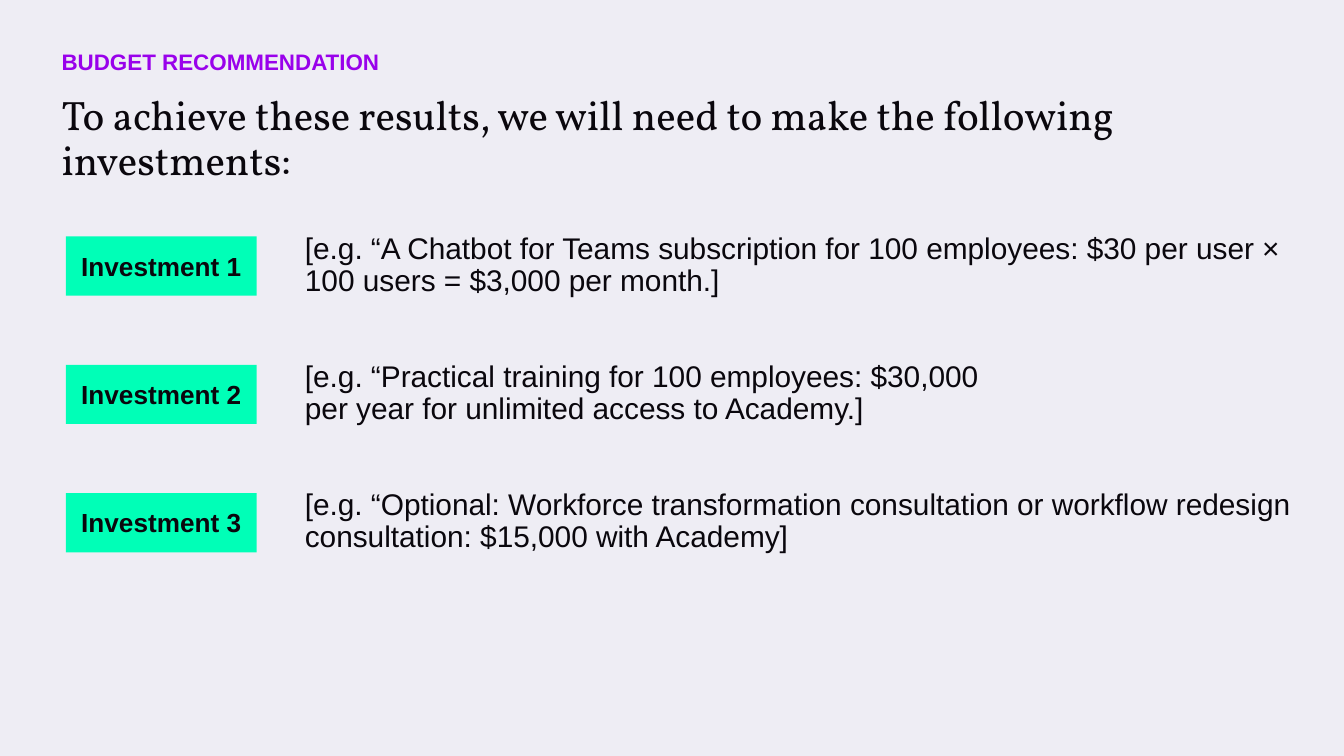
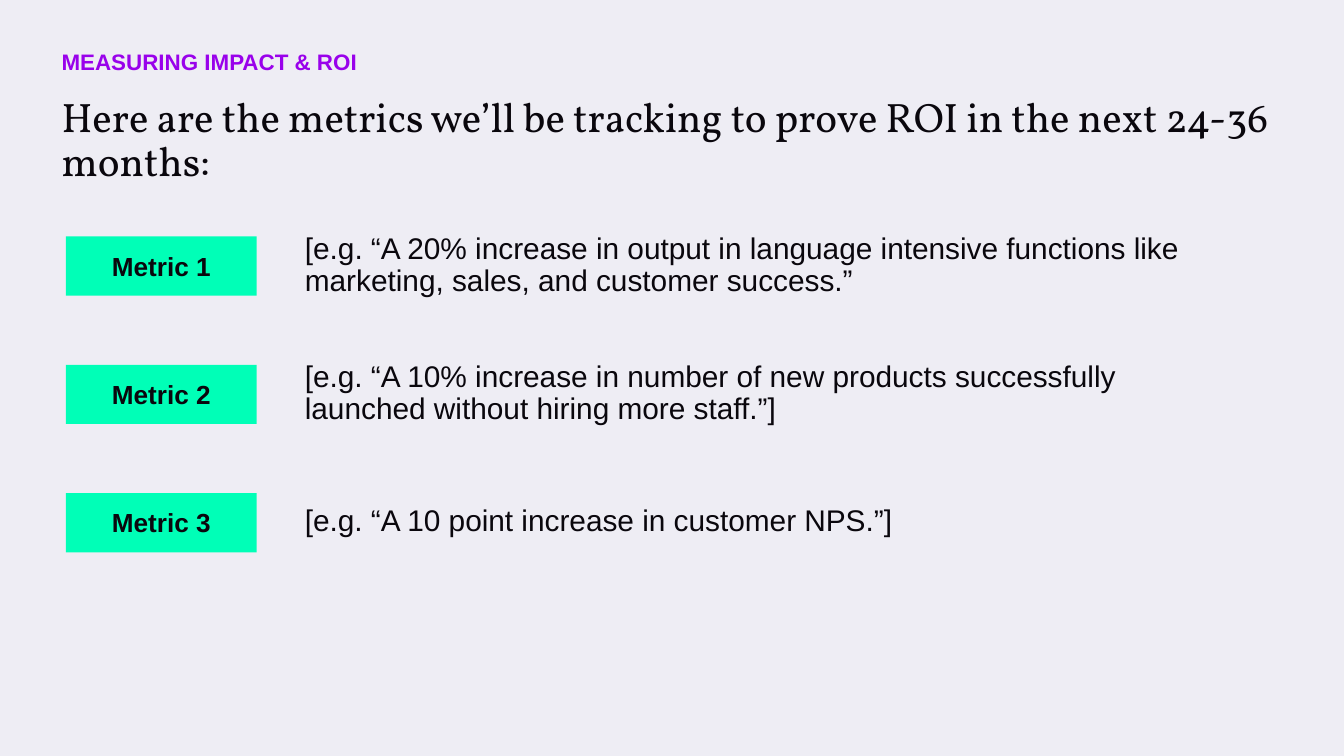
"""Build the budget recommendation and ROI metrics slides."""
from pptx import Presentation
from pptx.dml.color import RGBColor
from pptx.enum.shapes import MSO_SHAPE as Shape
from pptx.enum.text import MSO_ANCHOR as Anchor, MSO_AUTO_SIZE as AutoSize, PP_ALIGN as Align
from pptx.util import Inches, Pt

COLORS = {"background": "EEEDF4", "ink": "0A070D", "purple": "9901EB", "mint": "00FFB7"}
BODY_FONT = "Arial"
TITLE_FONT = "Vollkorn"
FIRST_ROW, LAST_ROW = 1.76, 3.67

SLIDES = [
    {
        "eyebrow": "BUDGET RECOMMENDATION",
        "title": "To achieve these results, we will need to make the following investments:",
        "title_box": (0.36, 0.61, 9.35, 0.73),
        "label": "Investment",
        "rows": [
            ("[e.g. “A Chatbot for Teams subscription for 100 employees: "
             "$30 per user × 100 users = $3,000 per month.]", 7.49),
            ("[e.g. “Practical training for 100 employees: $30,000 "
             "per year for unlimited access to Academy.]", 5.58),
            ("[e.g. “Optional: Workforce transformation consultation or workflow "
             "redesign consultation: $15,000 with Academy]", 7.54),
        ],
    },
    {
        "eyebrow": "MEASURING IMPACT & ROI",
        "title": "Here are the metrics we’ll be tracking to prove ROI in the next 24-36 months:",
        "title_box": (0.36, 0.62, 9.4, 0.77),
        "label": "Metric",
        "rows": [
            ("[e.g. “A 20% increase in output in language intensive functions like "
             "marketing, sales, and customer success.”", 7.49),
            ("[e.g. “A 10% increase in number of new products successfully "
             "launched without hiring more staff.”]", 7.07),
            ("[e.g. “A 10 point increase in customer NPS.”]", 7.54),
        ],
    },
]


def rgb(name):
    """Return the named colour."""
    return RGBColor.from_string(COLORS[name])


def write(shape, text, size, font=BODY_FONT, color="ink", bold=False, anchor=Anchor.TOP):
    """Put one styled paragraph in a shape and return the paragraph."""
    frame = shape.text_frame
    frame.word_wrap = True
    frame.vertical_anchor = anchor
    frame.margin_left = frame.margin_right = Inches(0.1)
    frame.margin_top = frame.margin_bottom = Inches(0.1)
    paragraph = frame.paragraphs[0]
    paragraph.text = text
    paragraph.font.name = font
    paragraph.font.size = Pt(size)
    paragraph.font.bold = bold
    paragraph.font.color.rgb = rgb(color)
    return paragraph


def add_text(slide, box, text, size, **style):
    """Add a text box and return its paragraph."""
    shape = slide.shapes.add_textbox(*map(Inches, box))
    return write(shape, text, size, **style)


def add_label(slide, top, text):
    """Add a mint label with centred bold text."""
    shape = slide.shapes.add_shape(Shape.RECTANGLE, *map(Inches, (0.49, top, 1.42, 0.44)))
    shape.shadow.inherit = False
    shape.fill.solid()
    shape.fill.fore_color.rgb = rgb("mint")
    shape.line.fill.background()
    write(shape, text, 14, bold=True).alignment = Align.CENTER
    shape.text_frame.auto_size = AutoSize.SHAPE_TO_FIT_TEXT


def add_row(slide, top, label, text, width):
    """Add a label and the description beside it."""
    add_label(slide, top, label)
    paragraph = add_text(slide, (2.17, top - 0.13, width, 0.69), text, 16, anchor=Anchor.MIDDLE)
    paragraph.line_spacing = 0.9
    paragraph.space_after = Pt(10)


def add_slide(presentation, content):
    """Add a slide with an eyebrow, a title and evenly spaced rows."""
    slide = presentation.slides.add_slide(presentation.slide_layouts[6])
    slide.background.fill.solid()
    slide.background.fill.fore_color.rgb = rgb("background")
    title = add_text(slide, content["title_box"], content["title"], 22, font=TITLE_FONT)
    title.line_spacing = 0.9
    add_text(slide, (0.36, 0.26, 5.1, 0.43), content["eyebrow"], 12, color="purple", bold=True)
    rows = content["rows"]
    pitch = (LAST_ROW - FIRST_ROW) / (len(rows) - 1)
    for index, (text, width) in enumerate(rows):
        add_row(slide, FIRST_ROW + index * pitch, f"{content['label']} {index + 1}", text, width)


def main():
    """Build and save the presentation."""
    presentation = Presentation()
    presentation.slide_width = Inches(10)
    presentation.slide_height = Inches(10 * 9 / 16)
    for content in SLIDES:
        add_slide(presentation, content)
    presentation.save("out.pptx")


if __name__ == "__main__":
    main()
